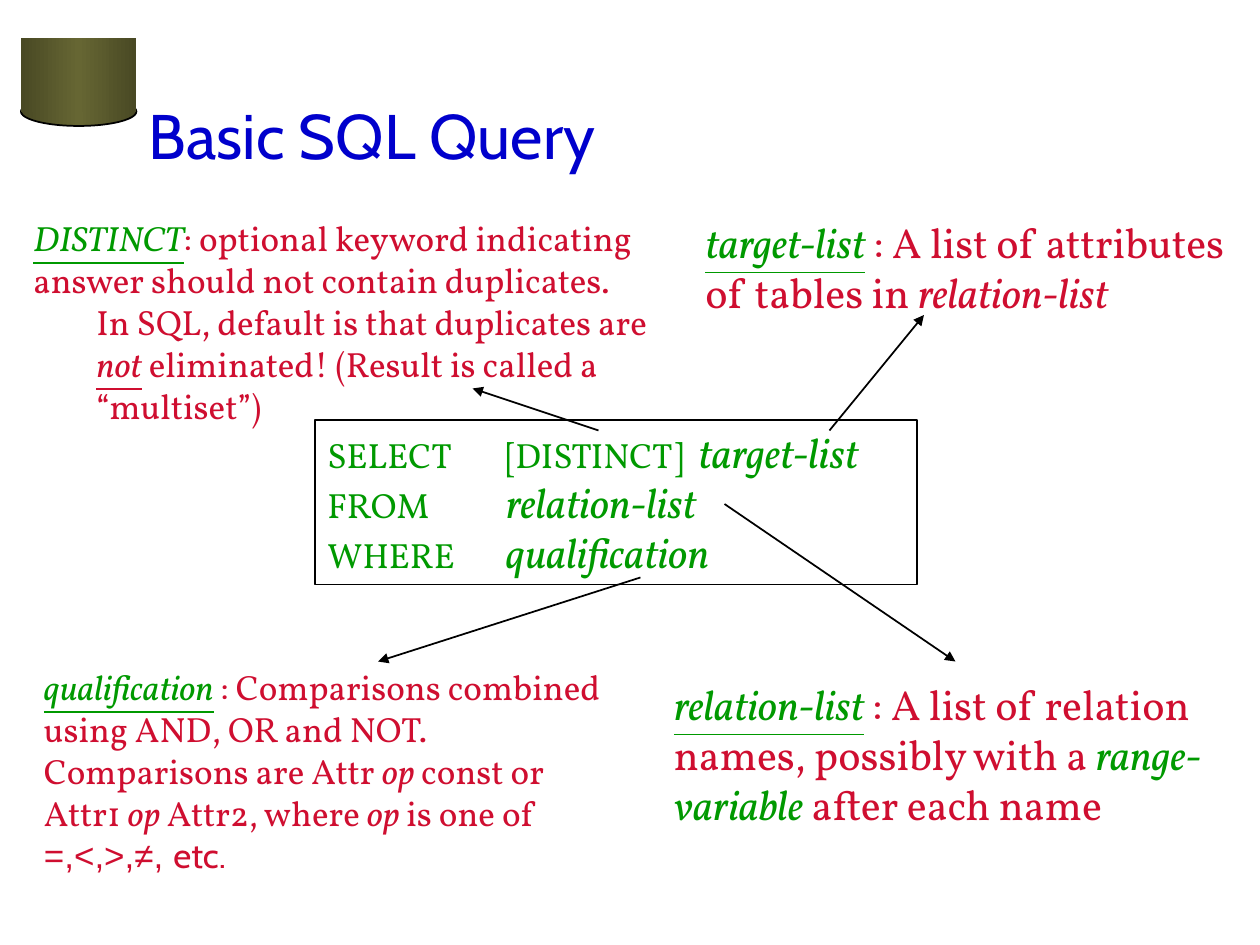
from copy import deepcopy
from lxml.etree import SubElement as Sub
from pptx import Presentation
from pptx.dml.color import RGBColor
from pptx.enum.shapes import MSO_CONNECTOR as Line, MSO_SHAPE as Kind
from pptx.enum.text import MSO_ANCHOR as Anchor, PP_ALIGN as Align
from pptx.oxml.ns import qn
from pptx.util import Pt

BLUE, GREEN, RED, BLACK = "0000CC", "009900", "CF0E30", "000000"
TERM = dict(color=GREEN, italic=True, underline=True)
NAME = dict(color=GREEN, italic=True)
WORD = dict(color=GREEN, size=20)
ITAL = dict(italic=True)
BOLD = dict(italic=True, underline=True)
BODY = {}

TITLE = ((78, 33, 612, 87), 36, [(0, [("Basic SQL Query", dict(color=BLUE, font="Cabin"))])])
QUERY = ((180, 240, 344, 94), 24, [
    (0, [("SELECT\t[DISTINCT]\t", WORD), ("target-list", NAME)]),
    (0, [("FROM\t", WORD), ("relation-list", NAME)]),
    (0, [("WHERE\t", WORD), ("qualification", NAME)]),
])
TABS = (102, 212)
NOTES = [
    ((378, 384, 327, 94), 24, [(0, [
        ("relation-list", TERM),
        (" : A list of relation names, possibly with a ", BODY),
        ("range-variable", NAME), (" after each name", BODY)])]),
    ((396, 120, 330, 65), 24, [(0, [
        ("target-list", TERM), (" : A list of attributes of tables in ", BODY),
        ("relation-list", ITAL)])]),
    ((12, 120, 372, 163), 20, [
        (0, [("DISTINCT", TERM),
             (": optional keyword indicating answer should not contain duplicates.", BODY)]),
        (36, [("In SQL, default is that duplicates are ", BODY), ("not", BOLD),
              (" eliminated! (Result is called a “multiset”)", BODY)])]),
    ((18, 376.5, 336, 163), 20, [(0, [
        ("qualification", TERM),
        (" : Comparisons combined using AND, OR and NOT. Comparisons are Attr ", BODY),
        ("op", ITAL), (" const or Attr1 ", BODY), ("op", ITAL),
        (" Attr2, where ", BODY), ("op", ITAL), (" is one of ", BODY),
        ("=,<,>,≠, ", dict(font="Arial")), ("etc.", dict(font="Cabin"))])]),
]
ARROWS = [
    (366, 330, 216, 378),
    (414, 288, 546, 378),
    (474, 246, 528, 180),
    (342, 246, 270, 222),
]
DRUM = [(Kind.OVAL, (12, 55.5, 66, 16.5), True), (Kind.RECTANGLE, (12, 21.5, 66, 42.5), False)]
SHADE = [(0, "494924"), (0.5, "666633"), (1, "494924")]


def paint(text):
    return RGBColor.from_string(text)


def place(box):
    return [Pt(n) for n in box]


def outline(line):
    line.color.rgb = paint(BLACK)
    line.width = Pt(1)


def write(shape, size, paras):
    frame = shape.text_frame
    frame.word_wrap = True
    frame.vertical_anchor = Anchor.TOP
    for i, (indent, runs) in enumerate(paras):
        para = frame.add_paragraph() if i else frame.paragraphs[0]
        para.alignment = Align.LEFT
        if indent:
            para._p.get_or_add_pPr().set("marL", str(Pt(indent)))
        for text, style in runs:
            run = para.add_run()
            run.text = text
            form = dict(color=RED, font="Vollkorn", size=size) | style
            face = run.font
            face.color.rgb = paint(form.pop("color"))
            face.name = form.pop("font")
            face.size = Pt(form.pop("size"))
            for key, value in form.items():
                setattr(face, key, value)
    return frame


def shade(shape):
    fill = shape.fill
    fill.gradient()
    fill.gradient_angle = 0
    stops = shape._element.spPr.find(".//" + qn("a:gsLst"))
    stops.append(deepcopy(stops[0]))
    for stop, (spot, tone) in zip(fill.gradient_stops, SHADE):
        stop.position = spot
        stop.color.rgb = paint(tone)


deck = Presentation()
deck.slide_width, deck.slide_height = Pt(720), Pt(540)
shapes = deck.slides.add_slide(deck.slide_layouts[6]).shapes

for kind, box, edge in DRUM:
    part = shapes.add_shape(kind, *place(box))
    part.shadow.inherit = False
    shade(part)
    if edge:
        outline(part.line)
    else:
        part.line.fill.background()

box, size, paras = TITLE
write(shapes.add_textbox(*place(box)), size, paras).vertical_anchor = Anchor.MIDDLE

box, size, paras = QUERY
query = shapes.add_shape(Kind.RECTANGLE, *place(box))
query.shadow.inherit = False
query.fill.background()
outline(query.line)
for para in write(query, size, paras).paragraphs:
    tabs = Sub(para._p.get_or_add_pPr(), qn("a:tabLst"))
    for stop in TABS:
        Sub(tabs, qn("a:tab"), pos=str(Pt(stop)), algn="l")

for box, size, paras in NOTES:
    write(shapes.add_textbox(*place(box)), size, paras)

for ends in ARROWS:
    arrow = shapes.add_connector(Line.STRAIGHT, *place(ends))
    outline(arrow.line)
    Sub(arrow.line._get_or_add_ln(), qn("a:tailEnd"), type="triangle")
    Sub(arrow._element.spPr, qn("a:effectLst"))

deck.save("out.pptx")
